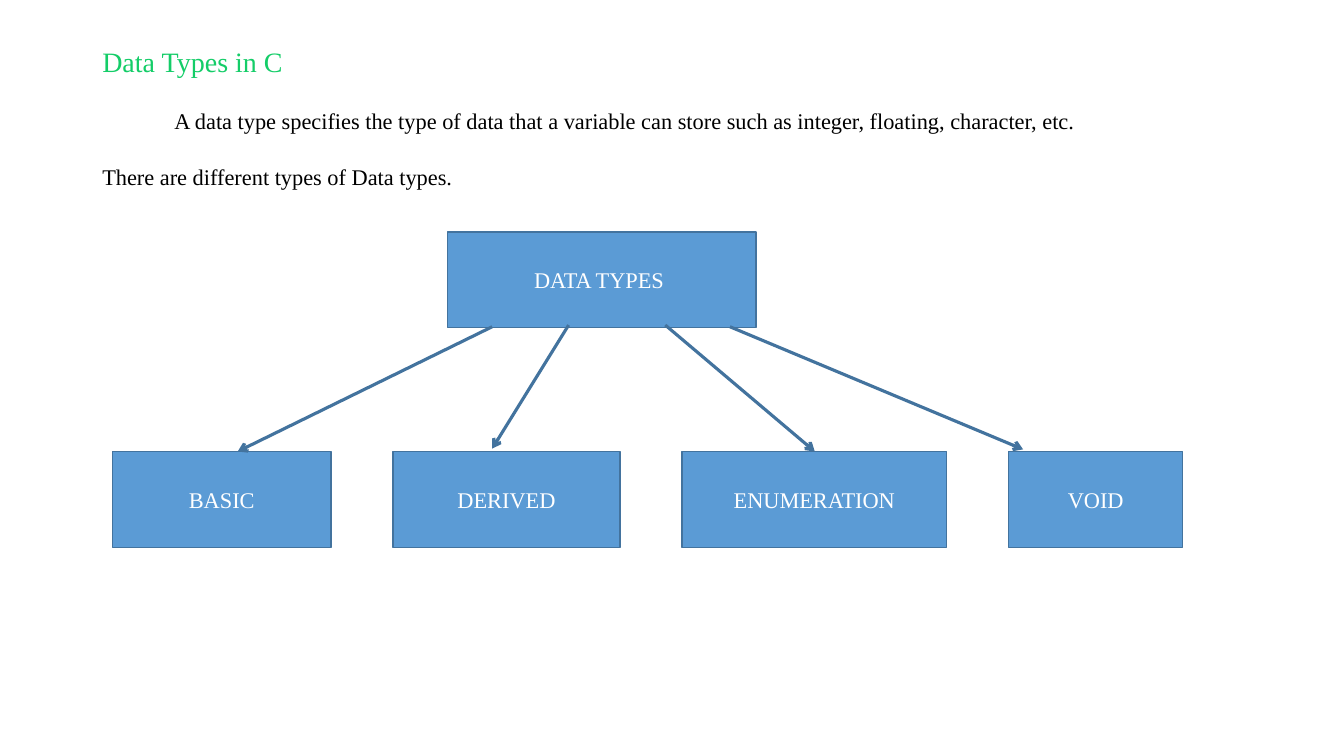
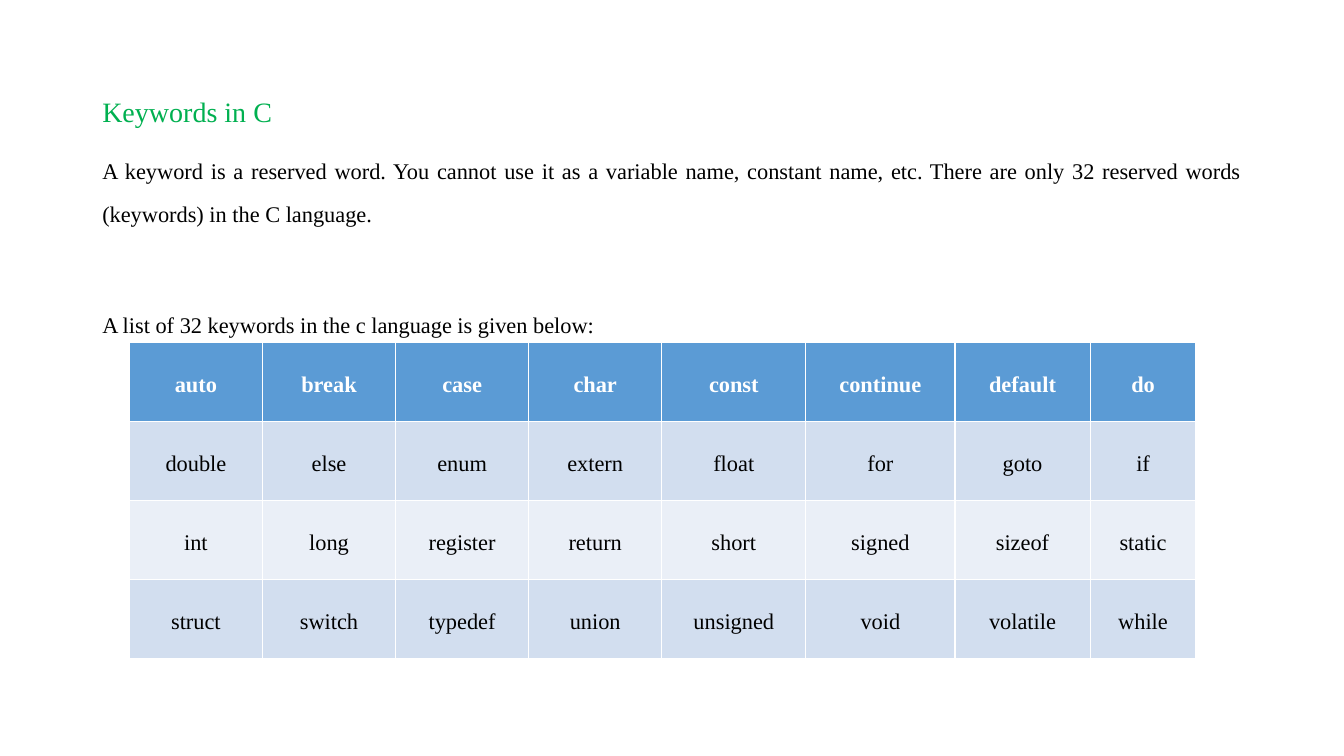
from dataclasses import dataclass
from typing import NamedTuple

from lxml import etree
from pptx import Presentation
from pptx import util as u
from pptx.dml.color import RGBColor
from pptx.enum import shapes, text
from pptx.oxml.ns import qn


@dataclass(frozen=True)
class Theme:
    font: str = "Times New Roman"
    title_size: float = 20
    body_size: float = 16
    bright_green: str = "14CD68"
    green: str = "00B050"
    ink: str = "000000"
    white: str = "FFFFFF"
    blue: str = "5B9BD5"
    outline: str = "43739E"
    bands: tuple[str, str] = ("D2DEEF", "EAEFF7")


class Area(NamedTuple):
    """Place on the slide, in grid columns and rows."""
    left: float
    top: float
    width: float
    height: float


class Passage(NamedTuple):
    words: str
    size: float
    colour: str
    space_before: float = 9.3
    indent: float = 0


class Node(NamedTuple):
    label: str
    area: Area


class Arrow(NamedTuple):
    start: tuple[float, float]
    end: tuple[float, float]


THEME = Theme()
CELL = u.Inches(1 / 12)  # the slide is a grid of 160 columns by 90 rows
COLUMNS, ROWS = 160, 90

# Data type tree
NODE_HEIGHT, NODE_GAP = 11.4, 7.4
TYPES_LEFT, TYPES_TOP = 13.4, 53.75
ROOT = Node("DATA TYPES ", Area(53.3, 27.6, 36.7, NODE_HEIGHT))
TYPE_WIDTHS = {"BASIC": 26, "DERIVED": 27, "ENUMERATION": 31.5, "VOID": 20.7}
ARROWS = [
    Arrow((58.6, 38.9), (28.3, 53.75)),
    Arrow((86.9, 38.9), (121.8, 53.5)),
    Arrow((67.7, 38.7), (58.6, 53.4)),
    Arrow((79.2, 38.7), (97, 53.75)),
]

# Keyword table
KEYWORDS = [
    "auto break case char const continue default do".split(),
    "double else enum extern float for goto if".split(),
    "int long register return short signed sizeof static".split(),
    "struct switch typedef union unsigned void volatile while".split(),
]
KEYWORD_WIDTHS = [15.85] * 4 + [17.15, 17.75, 16.1, 12.6]
KEYWORD_ROW = 9.4


def grid(*cells: float) -> list[int]:
    return [round(cell * CELL) for cell in cells]


def style_font(font, size: float, colour: str, bold: bool = False) -> None:
    formats = {"name": THEME.font, "size": u.Pt(size), "bold": bold}
    for attribute, value in formats.items():
        setattr(font, attribute, value)
    font.color.rgb = RGBColor.from_string(colour)


def add_passages(slide, area: Area, passages: list[Passage]) -> None:
    frame = slide.shapes.add_textbox(*grid(*area)).text_frame
    frame.word_wrap = True
    for number, passage in enumerate(passages):
        paragraph = frame.add_paragraph() if number else frame.paragraphs[0]
        formats = {
            "text": passage.words,
            "alignment": text.PP_ALIGN.JUSTIFY,
            "line_spacing": 1.6,
            "space_before": u.Pt(passage.space_before if number else 0),
        }
        for attribute, value in formats.items():
            setattr(paragraph, attribute, value)
        if passage.indent:
            paragraph._p.get_or_add_pPr().set("indent", str(grid(passage.indent)[0]))
        style_font(paragraph.runs[0].font, passage.size, passage.colour)


def add_node(slide, node: Node) -> None:
    box = slide.shapes.add_shape(shapes.MSO_SHAPE.RECTANGLE, *grid(*node.area))
    box.shadow.inherit = False
    box.fill.solid()
    box.fill.fore_color.rgb = RGBColor.from_string(THEME.blue)
    box.line.color.rgb = RGBColor.from_string(THEME.outline)
    box.line.width = u.Pt(1)
    box.text_frame.vertical_anchor = text.MSO_ANCHOR.MIDDLE
    label = box.text_frame.paragraphs[0]
    label.text = node.label
    label.alignment = text.PP_ALIGN.CENTER
    style_font(label.runs[0].font, THEME.body_size, THEME.white)


def add_arrow(slide, arrow: Arrow) -> None:
    branch = slide.shapes.add_connector(
        shapes.MSO_CONNECTOR.STRAIGHT, *grid(*arrow.start, *arrow.end))
    branch.line.color.rgb = RGBColor.from_string(THEME.outline)
    branch.line.width = u.Pt(2.25)
    etree.SubElement(branch.line._get_or_add_ln(), qn("a:tailEnd"), type="arrow")
    etree.SubElement(branch._element.spPr, qn("a:effectLst"))


def add_keyword_table(slide, left: float, top: float) -> None:
    area = Area(left, top, sum(KEYWORD_WIDTHS), KEYWORD_ROW * len(KEYWORDS))
    keywords = slide.shapes.add_table(
        len(KEYWORDS), len(KEYWORD_WIDTHS), *grid(*area)).table
    for column, width in zip(keywords.columns, grid(*KEYWORD_WIDTHS)):
        column.width = width
    for row, words in enumerate(KEYWORDS):
        header = row == 0
        fill = THEME.blue if header else THEME.bands[(row - 1) % 2]
        for column, word in enumerate(words):
            cell = keywords.cell(row, column)
            cell.fill.solid()
            cell.fill.fore_color.rgb = RGBColor.from_string(fill)
            entry = cell.text_frame.paragraphs[0]
            entry.text = word
            entry.alignment = text.PP_ALIGN.CENTER
            entry.line_spacing = 2.0
            style_font(entry.runs[0].font, THEME.body_size,
                       THEME.white if header else THEME.ink, header)


def build_data_types(slide) -> None:
    add_passages(slide, Area(11, 2.3, 138, 85.2), [
        Passage("Data Types in C", THEME.title_size, THEME.bright_green),
        Passage("A data type specifies the type of data that a variable can store "
                "such as integer, floating, character, etc.",
                THEME.body_size, THEME.ink, indent=8.6),
        Passage("There are different types of Data types.",
                THEME.body_size, THEME.ink),
    ])
    add_node(slide, ROOT)
    left = TYPES_LEFT
    for label, width in TYPE_WIDTHS.items():
        add_node(slide, Node(label, Area(left, TYPES_TOP, width, NODE_HEIGHT)))
        left += width + NODE_GAP
    for arrow in ARROWS:
        add_arrow(slide, arrow)


def build_keywords(slide) -> None:
    add_passages(slide, Area(11, 8.3, 138, 72.8), [
        Passage("Keywords in C", THEME.title_size, THEME.green),
        Passage("A keyword is a reserved word. You cannot use it as a variable name, "
                "constant name, etc. There are only 32 reserved words (keywords) "
                "in the C language.", THEME.body_size, THEME.ink),
        Passage("A list of 32 keywords in the c language is given below:",
                THEME.body_size, THEME.ink, space_before=48),
    ])
    add_keyword_table(slide, 15.4, 40.8)


def main() -> None:
    deck = Presentation()
    deck.slide_width, deck.slide_height = grid(COLUMNS, ROWS)
    blank = deck.slide_layouts[6]
    for build in (build_data_types, build_keywords):
        build(deck.slides.add_slide(blank))
    deck.save("out.pptx")


if __name__ == "__main__":
    main()
